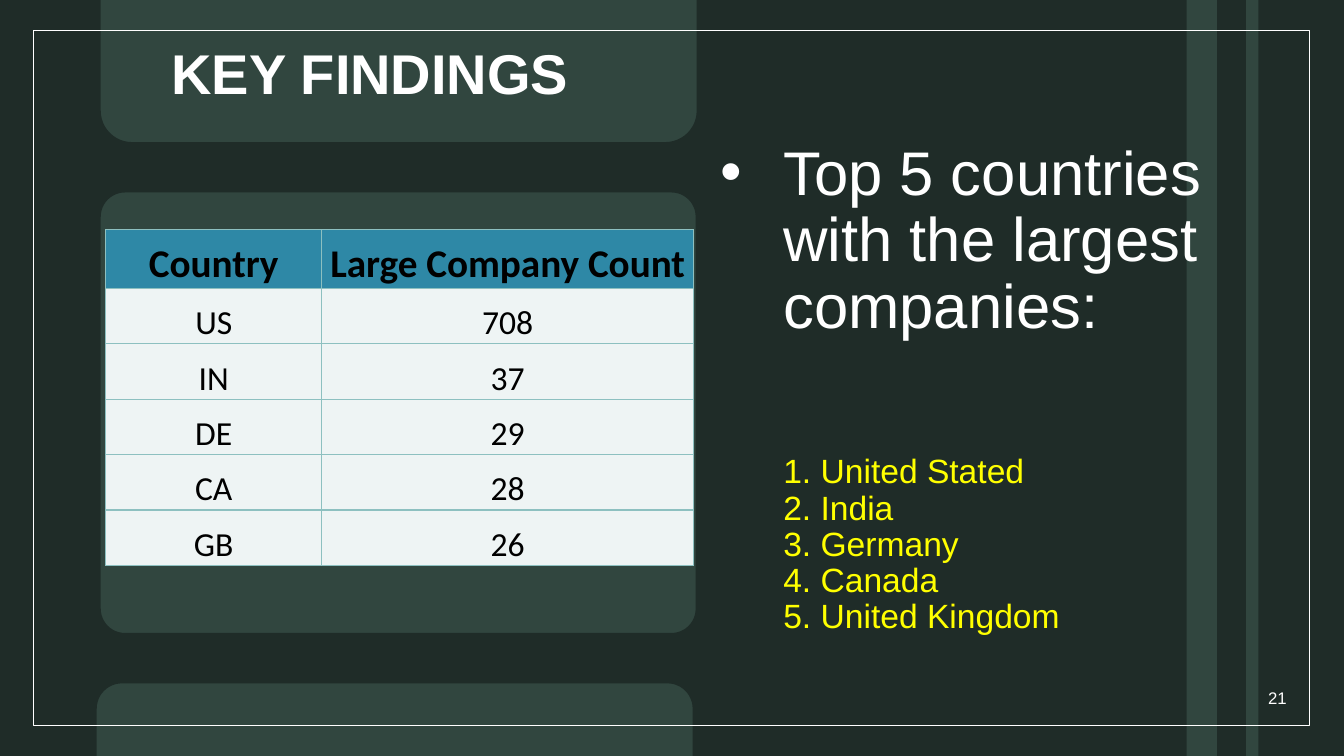
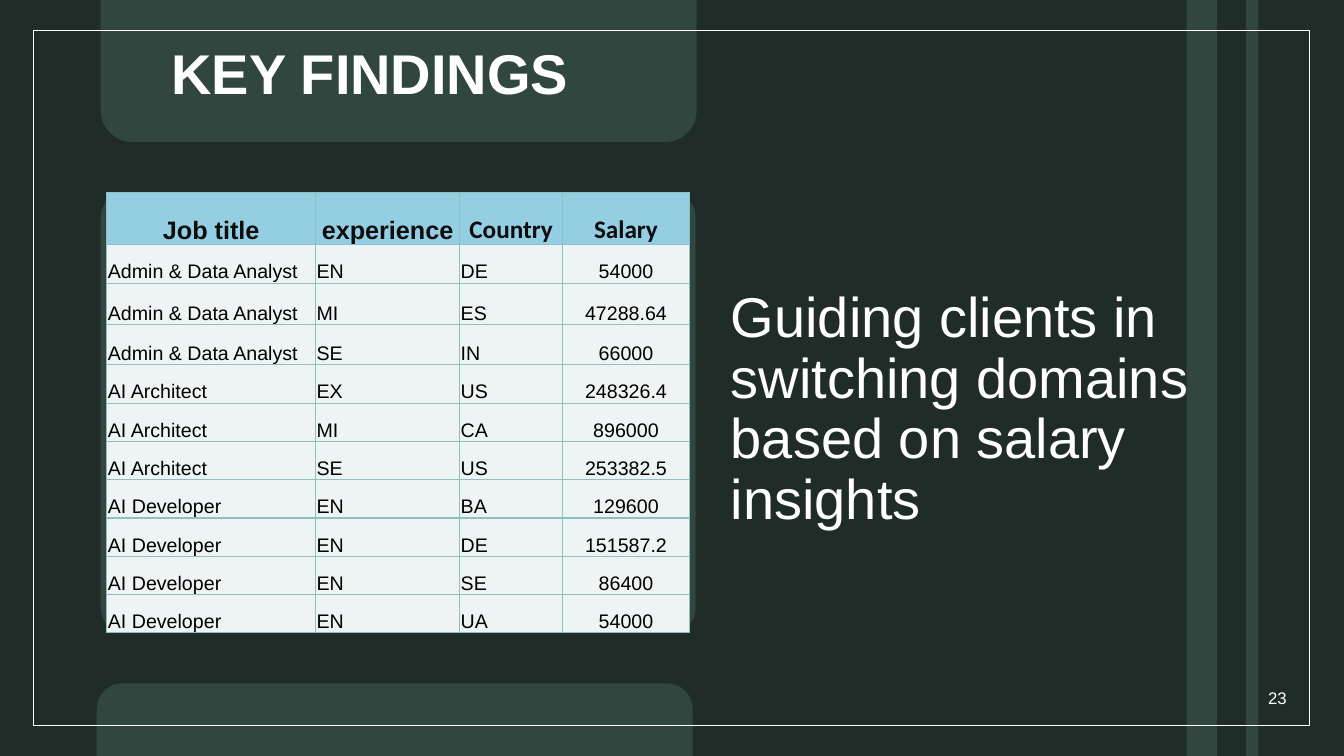
"""Build two key-findings slides, each with a table and a message."""
from dataclasses import dataclass
from math import cos, radians, sin

from lxml.etree import SubElement
from pptx import Presentation
from pptx.dml.color import RGBColor
from pptx.enum.shapes import MSO_SHAPE
from pptx.enum.text import MSO_ANCHOR, MSO_AUTO_SIZE, PP_ALIGN
from pptx.oxml.ns import qn
from pptx.util import Inches, Pt


@dataclass(frozen=True)
class Theme:
    panel: str = "31463F"
    dark: str = "1F2C28"
    white: str = "FFFFFF"
    black: str = "000000"
    ink: str = "0D0D0D"
    yellow: str = "FFFF00"
    teal: str = "2E88A6"
    sky: str = "94CEE2"
    pale: str = "EEF4F4"
    rule: str = "8DC0C0"
    sans: str = "Arial"
    table: str = "Calibri"
    title: int = 40
    lead: int = 44
    list: int = 24
    page: int = 12


T = Theme()
LEFT, MID, RIGHT = PP_ALIGN.LEFT, PP_ALIGN.CENTER, PP_ALIGN.RIGHT
WIDE, HIGH = 13.33, 7.5
BARS = [(12.36, 0, 0.12, HIGH), (11.77, 0, 0.3, HIGH)]
BORDER = (0.33, 0.3, 12.66, 6.9)
TITLE = (1.6, 0.2, 4.93, 0.91)
PAGE = (11.94, 6.72, 0.92, 0.4)

LEAD = dict(size=T.lead, spacing=0.9, margin=0.62, bullet="•")
ITEM = dict(size=T.list, color=T.yellow, spacing=0.9, margin=0.62)
NOTE = dict(size=T.title, spacing=0.9)

SLIDES = [
    dict(
        title="KEY FINDINGS", page="21", box=(7.05, 1.31, 5.65, 5.05),
        body=[
            ("Top 5 countries with the largest companies:", LEAD),
            ("1. United Stated", ITEM | dict(before=81)),
            ("2. India", ITEM),
            ("3. Germany", ITEM),
            ("4. Canada", ITEM),
            ("5. United Kingdom", ITEM),
        ],
        table=dict(
            place=(1.05, 2.28), cols=[2.14, 3.69], rows=[0.58] + [0.55] * 5,
            head=dict(size=28, color=T.black, fill=T.teal),
            fonts=[T.table] * 2, size=24, font=T.table, aligns=[MID] * 2,
            data=[
                ("Country", "Large Company Count"),
                ("US", "708"),
                ("IN", "37"),
                ("DE", "29"),
                ("CA", "28"),
                ("GB", "26"),
            ],
        ),
    ),
    dict(
        title="KEY FINDINGS", page="23", box=(7.15, 1.66, 5.65, 3.66),
        body=[("Guiding clients in switching domains based on salary insights", NOTE)],
        table=dict(
            place=(1.06, 1.91), cols=[2.07, 1.43, 1.02, 1.26],
            rows=[0.52, 0.38, 0.41, 0.4] + [0.38] * 7,
            head=dict(size=18, color=T.ink, fill=T.sky),
            fonts=[T.sans] * 2 + [T.table] * 2, size=14, font=T.sans,
            aligns=[LEFT] * 3 + [MID],
            data=[
                ("Job title", "experience", "Country", "Salary"),
                ("Admin & Data Analyst", "EN", "DE", "54000"),
                ("Admin & Data Analyst", "MI", "ES", "47288.64"),
                ("Admin & Data Analyst", "SE", "IN", "66000"),
                ("AI Architect", "EX", "US", "248326.4"),
                ("AI Architect", "MI", "CA", "896000"),
                ("AI Architect", "SE", "US", "253382.5"),
                ("AI Developer", "EN", "BA", "129600"),
                ("AI Developer", "EN", "DE", "151587.2"),
                ("AI Developer", "EN", "SE", "86400"),
                ("AI Developer", "EN", "UA", "54000"),
            ],
        ),
    ),
]


def tint(fill, color):
    fill.solid()
    fill.fore_color.rgb = RGBColor.from_string(color)


def write(frame, text, *, size, color=T.white, font=T.sans, bold=False,
          align=LEFT, spacing=None, before=0, margin=0, bullet=None):
    first = frame.paragraphs[0]
    para = frame.add_paragraph() if first.text else first
    props = para._p.get_or_add_pPr()
    if margin:
        props.set("marL", str(Inches(margin)))
        props.set("indent", str(-Inches(margin) if bullet else 0))
    if bullet:
        SubElement(props, qn("a:buFont"), typeface=T.sans)
        SubElement(props, qn("a:buChar"), char=bullet)
    para.alignment = align
    if spacing:
        para.line_spacing = spacing
    if before:
        para.space_before = Pt(before)
    run = para.add_run()
    run.text = text
    run.font.size, run.font.name, run.font.bold = Pt(size), font, bold
    run.font.color.rgb = RGBColor.from_string(color)


def setup(frame, anchor):
    frame.word_wrap = True
    frame.auto_size = MSO_AUTO_SIZE.NONE
    frame.vertical_anchor = anchor
    return frame


def add_text(slide, place, anchor):
    box = slide.shapes.add_textbox(*map(Inches, place))
    return setup(box.text_frame, anchor)


def arc(x, y, size, start):
    turns = [radians(start - 7.5 * step) for step in range(13)]
    return [(x + size * cos(turn), y + size * sin(turn)) for turn in turns]


def add_mask(slide):
    outer = [(0, 0), (1, 0), *arc(1.31, 1.1, 0.31, 180), *arc(6.6, 1.1, 0.31, 90),
             (6.91, 0), (WIDE, 0), (WIDE, HIGH), (6.87, HIGH),
             *arc(6.62, 7.03, 0.25, 0), *arc(1.21, 7.03, 0.25, -90),
             (0.96, HIGH), (0, HIGH)]
    inner = [*arc(1.24, 2.15, 0.24, 270), *arc(1.24, 6.04, 0.24, 180),
             *arc(6.66, 6.04, 0.24, 90), *arc(6.66, 2.15, 0.24, 0)]
    outer, inner = [[(Inches(x), Inches(y)) for x, y in ring]
                    for ring in (outer, inner)]
    form = slide.shapes.build_freeform(*outer[0])
    form.add_line_segments(outer[1:])
    form.move_to(*inner[0])
    form.add_line_segments(inner[1:])
    return form.convert_to_shape()


def add_rect(slide, place):
    return slide.shapes.add_shape(MSO_SHAPE.RECTANGLE, *map(Inches, place))


def add_frame(slide, layout):
    mask = add_mask(slide)
    bars = [add_rect(slide, place) for place in BARS]
    border = add_rect(slide, BORDER)
    for shape, color in [(mask, T.dark)] + [(bar, T.panel) for bar in bars]:
        tint(shape.fill, color)
        shape.line.fill.background()
    border.fill.background()
    tint(border.line.fill, T.white)
    border.line.width = Pt(1)
    for spot, shape in enumerate([mask, *bars, border], 2):
        shape.shadow.inherit = False
        layout.shapes._spTree.insert(spot, shape._element)


def style_cell(cell, fill):
    props = cell._tc.get_or_add_tcPr()
    for side in ("a:lnL", "a:lnR", "a:lnT", "a:lnB"):
        line = SubElement(props, qn(side), w=str(Pt(1)))
        paint = SubElement(line, qn("a:solidFill"))
        SubElement(paint, qn("a:srgbClr"), val=T.rule)
    tint(cell.fill, fill)
    cell.margin_left = cell.margin_right = cell.margin_top = Inches(0.01)
    cell.margin_bottom = 0
    cell.vertical_anchor = MSO_ANCHOR.BOTTOM


def add_grid(slide, item):
    cols, rows, head = item["cols"], item["rows"], item["head"]
    place = (*item["place"], sum(cols), sum(rows))
    grid = slide.shapes.add_table(len(rows), len(cols), *map(Inches, place)).table
    grid.first_row = grid.horz_banding = False
    for part, width in zip(grid.columns, cols):
        part.width = Inches(width)
    for part, height in zip(grid.rows, rows):
        part.height = Inches(height)
    for r, row in enumerate(item["data"]):
        for c, text in enumerate(row):
            cell = grid.cell(r, c)
            style_cell(cell, T.pale if r else head["fill"])
            if r:
                form = dict(size=item["size"], color=T.black, font=item["font"],
                            align=item["aligns"][c])
            else:
                form = dict(size=head["size"], color=head["color"], bold=True,
                            font=item["fonts"][c], align=MID)
            write(cell.text_frame, text, **form)


def add_slide(deck, layout, item):
    slide = deck.slides.add_slide(layout)
    title = slide.shapes.title
    title.left, title.top, title.width, title.height = map(Inches, TITLE)
    write(setup(title.text_frame, MSO_ANCHOR.BOTTOM), item["title"],
          size=T.title, bold=True, spacing=0.9)
    body = add_text(slide, item["box"], MSO_ANCHOR.BOTTOM)
    for text, form in item["body"]:
        write(body, text, **form)
    write(add_text(slide, PAGE, MSO_ANCHOR.MIDDLE), item["page"],
          size=T.page, align=RIGHT)
    add_grid(slide, item["table"])
    return slide


def main():
    deck = Presentation()
    deck.slide_width, deck.slide_height = Inches(WIDE), Inches(HIGH)
    tint(deck.slide_master.background.fill, T.panel)
    layout = deck.slide_layouts[5]
    slides = [add_slide(deck, layout, item) for item in SLIDES]
    add_frame(slides[0], layout)
    deck.save("out.pptx")


if __name__ == "__main__":
    main()
